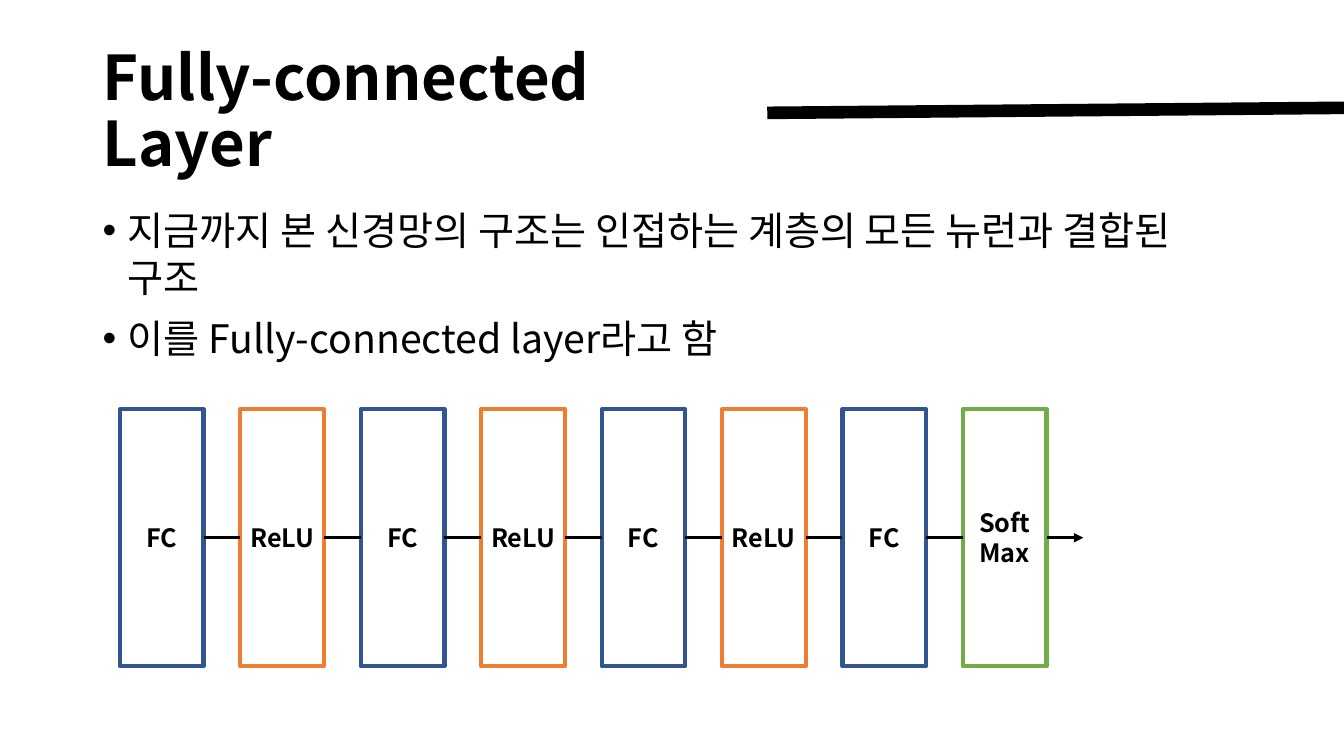
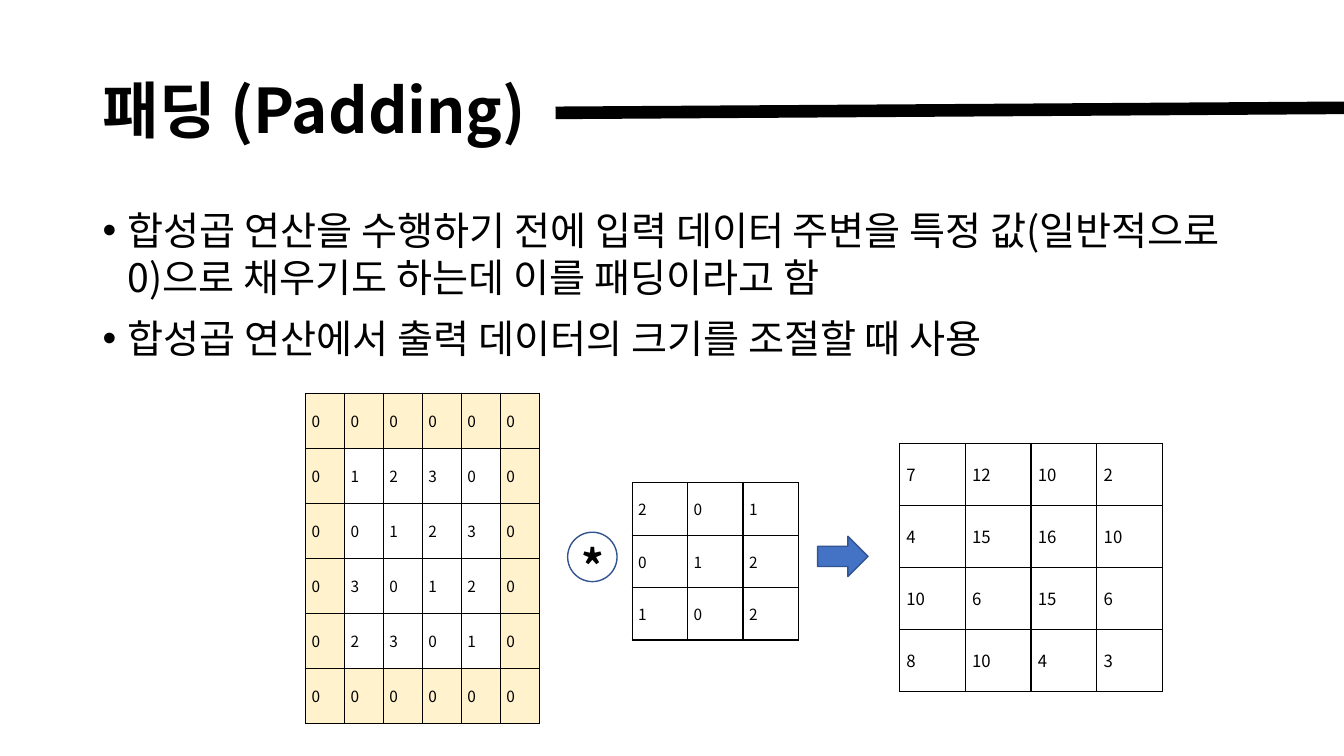
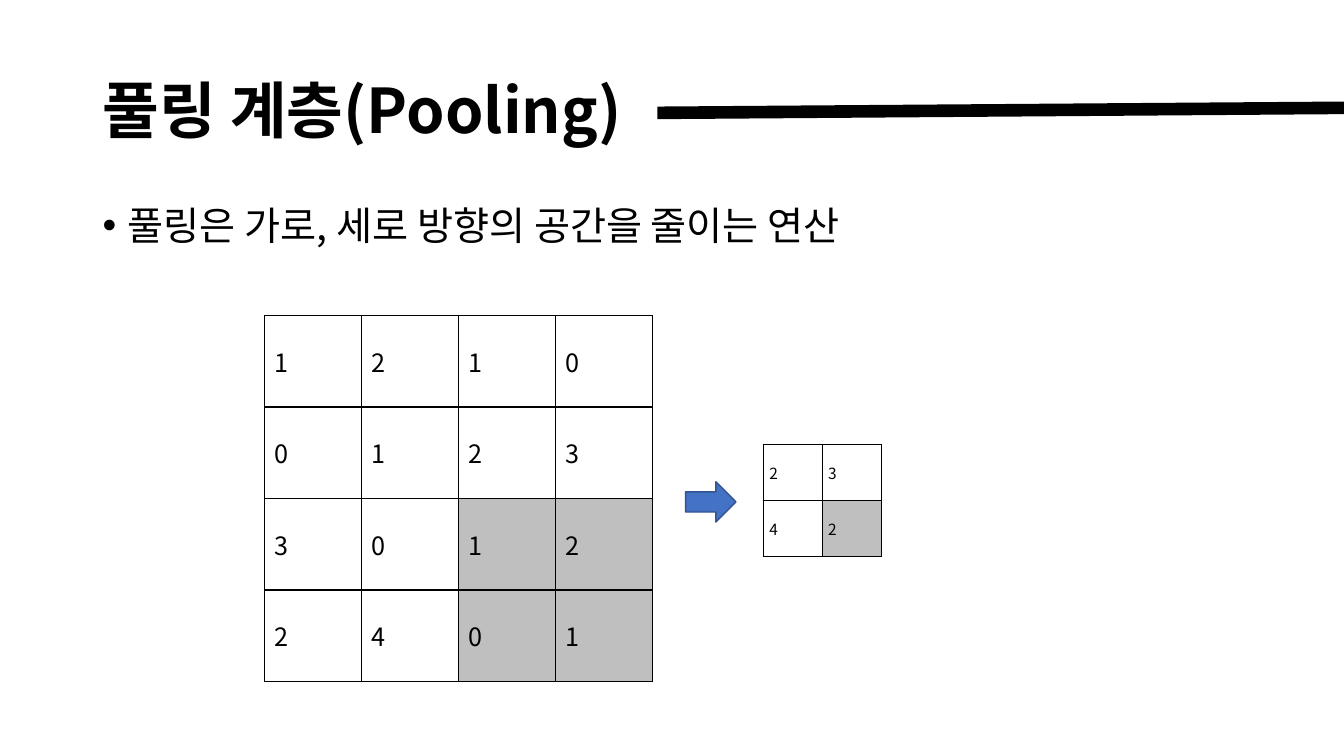
from lxml.etree import SubElement
from pptx import Presentation
from pptx.dml.color import RGBColor
from pptx.enum.shapes import MSO_CONNECTOR as Connector, MSO_SHAPE as Preset
from pptx.enum.text import MSO_ANCHOR as Anchor, MSO_AUTO_SIZE as AutoSize, PP_ALIGN as Align
from pptx.oxml import parse_xml
from pptx.oxml.ns import nsdecls, qn
from pptx.util import Inches, Pt

FONT = "Noto Sans CJK KR"
BLACK = RGBColor(0x00, 0x00, 0x00)
WHITE = RGBColor(0xFF, 0xFF, 0xFF)
NAVY = RGBColor(0x32, 0x54, 0x91)
BLUE = RGBColor(0x44, 0x72, 0xC4)
ORANGE = RGBColor(0xED, 0x7D, 0x31)
GREEN = RGBColor(0x70, 0xAD, 0x47)
CREAM = RGBColor(0xFF, 0xF2, 0xCC)
GRAY = RGBColor(0xBF, 0xBF, 0xBF)

SLIDE_WIDTH, SLIDE_HEIGHT = 13.33, 7.5
LEFT_MARGIN = 0.92
LAYERS = [("FC", NAVY), ("ReLU", ORANGE)] * 3 + [("FC", NAVY), ("Soft\nMax", GREEN)]

PADDED_INPUT = ["000000", "012300", "001230", "030120", "023010", "000000"]
KERNEL = ["201", "012", "102"]
CONVOLVED = [[7, 12, 10, 2], [4, 15, 16, 10], [10, 6, 15, 6], [8, 10, 4, 3]]
POOL_INPUT = ["1210", "0123", "3012", "2401"]
POOLED = ["23", "42"]


def add_run(paragraph, text, size, bold=False):
    """Append a black, unkerned run in the deck font."""
    run = paragraph.add_run()
    run.text = text
    run.font.size = Pt(size)
    run.font.bold = bold
    run.font.color.rgb = BLACK
    run.font.name = FONT
    properties = run.font._element
    properties.set("kern", "0")
    SubElement(properties, qn("a:ea")).set("typeface", FONT)


def next_paragraph(frame, index):
    """Return the first paragraph for index 0, otherwise a new one."""
    return frame.add_paragraph() if index else frame.paragraphs[0]


def add_line(slide, start, end, width):
    """Draw a black straight connector without a shadow."""
    line = slide.shapes.add_connector(Connector.STRAIGHT, *map(Inches, start + end))
    line.line.color.rgb = BLACK
    line.line.width = Pt(width)
    SubElement(line._element.spPr, qn("a:effectLst"))
    return line


def add_preset(slide, preset, box, line_color, line_width, fill=None):
    """Add an outlined preset shape, filled only when a colour is given."""
    shape = slide.shapes.add_shape(preset, *map(Inches, box))
    shape.shadow.inherit = False
    if fill is None:
        shape.fill.background()
    else:
        shape.fill.solid()
        shape.fill.fore_color.rgb = fill
    shape.line.color.rgb = line_color
    shape.line.width = Pt(line_width)
    return shape


def add_title(slide, text, width):
    """Place the title and the slanted rule that runs on from it to the slide edge."""
    box = slide.shapes.add_textbox(*map(Inches, (LEFT_MARGIN, 0.4, width, 1.45)))
    frame = box.text_frame
    frame.word_wrap = True
    frame.vertical_anchor = Anchor.MIDDLE
    paragraph = frame.paragraphs[0]
    paragraph.line_spacing = 0.9
    add_run(paragraph, text, 44, bold=True)
    add_line(slide, (LEFT_MARGIN + width - 0.01, 1.12), (SLIDE_WIDTH, 1.07), 9)


def add_bullets(slide, items, height, line_spacing=1.0):
    """Place the bulleted body text."""
    box = slide.shapes.add_textbox(*map(Inches, (LEFT_MARGIN, 2, 11.4, height)))
    frame = box.text_frame
    frame.word_wrap = True
    for index, item in enumerate(items):
        paragraph = next_paragraph(frame, index)
        paragraph.space_before = Pt(10)
        paragraph.line_spacing = line_spacing
        properties = paragraph._p.get_or_add_pPr()
        properties.set("marL", str(Inches(0.25)))
        properties.set("indent", str(-Inches(0.25)))
        SubElement(properties, qn("a:buFont")).set("typeface", "Arial")
        SubElement(properties, qn("a:buChar")).set("char", "•")
        add_run(paragraph, item, 28)


def add_slide(presentation, title, title_width, bullets, body_height=4.76, line_spacing=1.0):
    """Add a blank slide with its title, rule and bullets."""
    slide = presentation.slides.add_slide(presentation.slide_layouts[6])
    add_title(slide, title, title_width)
    add_bullets(slide, bullets, body_height, line_spacing)
    return slide


def style_cell(cell, text, size, insets, fill):
    """Write one cell and give it a black border."""
    cell.margin_left = cell.margin_right = Inches(insets[0])
    cell.margin_top = cell.margin_bottom = Inches(insets[1])
    cell.vertical_anchor = Anchor.MIDDLE
    add_run(cell.text_frame.paragraphs[0], text, size)
    if fill is None:
        cell.fill.background()
    else:
        cell.fill.solid()
        cell.fill.fore_color.rgb = fill
    properties = cell._tc.get_or_add_tcPr()
    for index, side in enumerate("LRTB"):
        properties.insert(index, parse_xml(
            f'<a:ln{side} {nsdecls("a")} w="{Pt(1)}"><a:solidFill>'
            f'<a:srgbClr val="{BLACK}"/></a:solidFill></a:ln{side}>'))


def add_matrix(slide, box, values, size, insets, fill_at=lambda row, column: None):
    """Fill the box with an evenly divided table of numbers."""
    left, top, width, height = box
    rows, columns = len(values), len(values[0])
    table = slide.shapes.add_table(rows, columns, *map(Inches, box)).table
    table.first_row = table.horz_banding = False
    for column in table.columns:
        column.width = Inches(width / columns)
    for row in table.rows:
        row.height = Inches(height / rows)
    for row, numbers in enumerate(values):
        for column, number in enumerate(numbers):
            style_cell(table.cell(row, column), str(number), size, insets, fill_at(row, column))


def add_arrow(slide, left, top):
    """Add the block arrow that leads to a result."""
    add_preset(slide, Preset.RIGHT_ARROW, (left, top, 0.5, 0.4), NAVY, 1, BLUE)


def add_layer(slide, box, label, color):
    """Add one network layer as an outlined, labelled rectangle."""
    shape = add_preset(slide, Preset.RECTANGLE, box, color, 3)
    frame = shape.text_frame
    frame.word_wrap = True
    frame.margin_left = frame.margin_right = 0
    frame.vertical_anchor = Anchor.MIDDLE
    for index, word in enumerate(label.split("\n")):
        paragraph = next_paragraph(frame, index)
        paragraph.alignment = Align.CENTER
        add_run(paragraph, word, 18, bold=True)
    return shape


def add_network(slide, box):
    """Spread the layers over the box and link them, ending in an arrow."""
    left, top, width, height = box
    layer_width = 0.83
    pitch = (width - layer_width) / (len(LAYERS) - 1)
    middle = top + height / 2
    lefts = [left + index * pitch for index in range(len(LAYERS))]
    layers = [add_layer(slide, (x, top, layer_width, height), label, color)
              for x, (label, color) in zip(lefts, LAYERS)]
    for index, (x, layer) in enumerate(zip(lefts, layers)):
        link = add_line(slide, (x + layer_width, middle), (x + pitch, middle), 2.25)
        link.begin_connect(layer, 3)
        if index + 1 < len(layers):
            link.end_connect(layers[index + 1], 1)
        else:
            SubElement(link.line._get_or_add_ln(), qn("a:tailEnd")).set("type", "triangle")


def add_convolution_sign(slide, left, top):
    """Add the circled asterisk."""
    add_preset(slide, Preset.OVAL, (left, top, 0.49, 0.49), NAVY, 1)
    box = slide.shapes.add_textbox(*map(Inches, (left + 0.04, top + 0.02, 0.41, 0.64)))
    box.text_frame.word_wrap = False
    box.text_frame.auto_size = AutoSize.SHAPE_TO_FIT_TEXT
    add_run(box.text_frame.paragraphs[0], "*", 32, bold=True)


def build_layer_slide(presentation):
    """Build the fully-connected layer slide."""
    slide = add_slide(presentation, "Fully-connected Layer", 6.7, [
        "지금까지 본 신경망의 구조는 인접하는 계층의 모든 뉴런과 결합된 구조",
        "이를 Fully-connected layer라고 함"], body_height=2.06)
    add_network(slide, (1.19, 4.06, 9.19, 2.55))


def build_padding_slide(presentation):
    """Build the padding slide."""
    slide = add_slide(presentation, "패딩 (Padding)", 4.6, [
        "합성곱 연산을 수행하기 전에 입력 데이터 주변을 특정 값(일반적으로 0)으로 "
        "채우기도 하는데 이를 패딩이라고 함",
        "합성곱 연산에서 출력 데이터의 크기를 조절할 때 사용"])
    last = len(PADDED_INPUT) - 1
    add_matrix(slide, (3.03, 3.9, 2.32, 3.28), PADDED_INPUT, 11, (0.06, 0.03),
               lambda row, column: CREAM if {row, column} & {0, last} else None)
    add_matrix(slide, (6.27, 4.79, 1.65, 1.56), KERNEL, 11, (0.06, 0.03))
    add_convolution_sign(slide, 5.63, 5.28)
    add_arrow(slide, 8.11, 5.32)
    add_matrix(slide, (8.92, 4.4, 2.61, 2.46), CONVOLVED, 12, (0.07, 0.03))


def build_pooling_slide(presentation):
    """Build the pooling slide."""
    slide = add_slide(presentation, "풀링 계층(Pooling)", 5.61,
                      ["풀링은 가로, 세로 방향의 공간을 줄이는 연산"], line_spacing=0.9)
    add_matrix(slide, (2.62, 3.13, 3.85, 3.63), POOL_INPUT, 18, (0.1, 0.05),
               lambda row, column: GRAY if min(row, column) >= 2 else WHITE)
    add_matrix(slide, (7.57, 4.41, 1.17, 1.11), POOLED, 11, (0.06, 0.03),
               lambda row, column: GRAY if min(row, column) >= 1 else WHITE)
    add_arrow(slide, 6.8, 4.78)


def main():
    """Build and save the deck."""
    presentation = Presentation()
    presentation.slide_width = Inches(SLIDE_WIDTH)
    presentation.slide_height = Inches(SLIDE_HEIGHT)
    build_layer_slide(presentation)
    build_padding_slide(presentation)
    build_pooling_slide(presentation)
    presentation.save("out.pptx")


if __name__ == "__main__":
    main()
